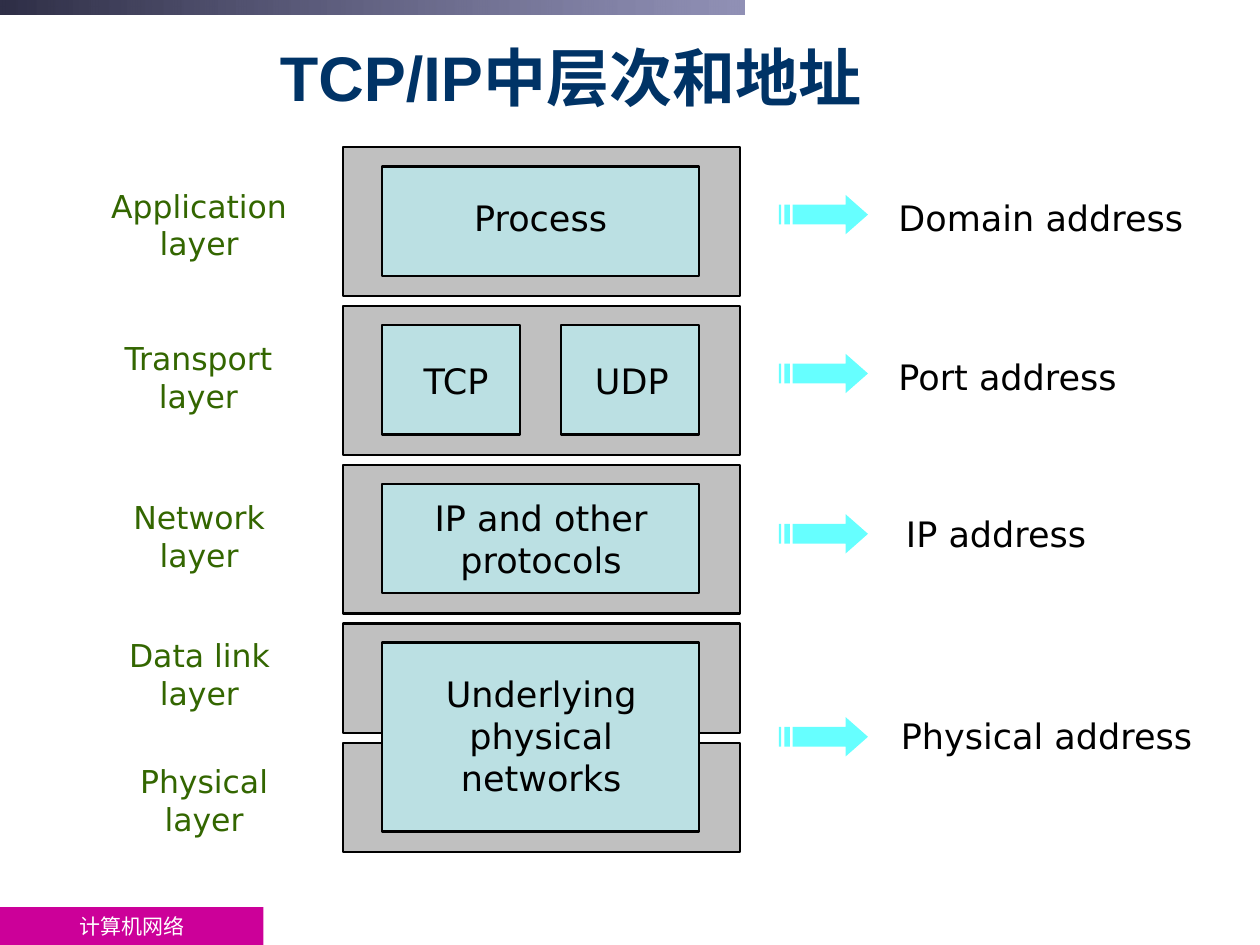
"""Build a slide that pairs the TCP/IP layers with their addresses."""
from dataclasses import dataclass

from lxml.etree import SubElement
from pptx import Presentation
from pptx.dml.color import RGBColor
from pptx.enum.shapes import MSO_SHAPE
from pptx.enum.text import MSO_ANCHOR, PP_ALIGN
from pptx.oxml.ns import qn
from pptx.util import Pt


@dataclass(frozen=True)
class Theme:
    navy: str = "003366"
    green: str = "336600"
    black: str = "000000"
    white: str = "FFFFFF"
    gray: str = "C0C0C0"
    pale: str = "BBE0E3"
    cyan: str = "66FFFF"
    pink: str = "CC0099"
    dusk: str = "2F2F47"
    haze: str = "666699"
    head: int = 36
    body: int = 20
    side: int = 18
    foot: int = 12
    sans: str = "DejaVu Sans"
    bold: str = "Arial"
    serif: str = "Times New Roman"


theme = Theme()
rgb = RGBColor.from_string


def add_box(left, top, width, height, fill, edge=None):
    box = slide.shapes.add_shape(
        MSO_SHAPE.RECTANGLE, Pt(left), Pt(top), Pt(width), Pt(height))
    box.shadow.inherit = False
    box.fill.solid()
    box.fill.fore_color.rgb = rgb(fill)
    if edge:
        box.line.color.rgb = rgb(edge)
        box.line.width = Pt(1.25)
    else:
        box.line.fill.background()
    return box


def add_run(frame, text, size, font, color, align=PP_ALIGN.CENTER):
    frame.word_wrap = True
    line = frame.paragraphs[0]
    line.alignment = align
    run = line.add_run()
    run.text = text
    run.font.size = Pt(size)
    run.font.name = font
    run.font.color.rgb = rgb(color)
    return run


deck = Presentation()
deck.slide_width, deck.slide_height = Pt(720), Pt(540)
slide = deck.slides.add_slide(deck.slide_layouts[5])

footer = add_box(0, 518.4, 150.5, 21.6, theme.pink)
add_run(footer.text_frame, "计算机网络", theme.foot, theme.serif, theme.white)

band = add_box(0, 0, 425.5, 8.6, theme.dusk)
band.fill.gradient()
band.fill.gradient_angle = 0
for stop, color in zip(band.fill.gradient_stops, (theme.dusk, theme.haze)):
    stop.color.rgb = rgb(color)
last = band.element.xpath(".//a:gradFill//a:srgbClr")[-1]
SubElement(last, qn("a:alpha")).set("val", "72000")

title = slide.shapes.title
title.left, title.top, title.width, title.height = Pt(122), Pt(15), Pt(408), Pt(57)
title.text_frame.vertical_anchor = MSO_ANCHOR.MIDDLE
run = add_run(title.text_frame, "TCP/IP中层次和地址", theme.head, theme.bold, theme.navy)
run.font.bold = True

tall, short, gap = 85, 62.5, 5.7
top = 84.2
tops = []
for height in (tall, tall, tall, short, short):
    add_box(196, top, 226.8, height, theme.gray, theme.black)
    tops.append(top)
    top += height + gap

panels = [
    (0, 218.2, 181.4, short),
    (1, 218.2, 79.2, short),
    (1, 320.4, 79.2, short),
    (2, 218.2, 181.4, short),
    (3, 218.2, 181.4, 108),
]
for row, left, width, height in panels:
    add_box(left, tops[row] + 10.9, width, height, theme.pale, theme.black)

center, start = PP_ALIGN.CENTER, PP_ALIGN.LEFT
texts = [
    ("Process", 257.8, 112.3, 102.2, 24, theme.body, theme.black, center),
    ("TCP", 226.8, 205.2, 67.7, 24, theme.body, theme.black, center),
    ("UDP", 329.8, 205.2, 62.6, 24, theme.body, theme.black, center),
    ("IP and other protocols", 241.2, 283.7, 136, 48, theme.body, theme.black, center),
    ("Underlying physical networks", 247, 384.5, 124.6, 72, theme.body, theme.black, center),
    ("Application layer", 59.8, 106.6, 108, 43, theme.side, theme.green, center),
    ("Transport layer", 54, 193.7, 118.8, 43, theme.side, theme.green, center),
    ("Network layer", 65.5, 284.4, 96.5, 43, theme.side, theme.green, center),
    ("Data link layer", 50, 363.6, 128, 43, theme.side, theme.green, center),
    ("Physical layer", 71.3, 435.6, 90.7, 43, theme.side, theme.green, center),
    ("Domain address", 513.4, 112.3, 175.7, 24, theme.body, theme.black, start),
    ("Port address", 513.4, 203, 130.3, 24, theme.body, theme.black, start),
    ("IP address", 517.7, 293, 108.7, 24, theme.body, theme.black, start),
    ("Physical address", 514.8, 408.2, 168.5, 24, theme.body, theme.black, start),
]
for text, left, top, width, height, size, color, align in texts:
    frame = slide.shapes.add_textbox(Pt(left), Pt(top), Pt(width), Pt(height)).text_frame
    frame.margin_left = frame.margin_top = frame.margin_right = frame.margin_bottom = 0
    add_run(frame, text, size, theme.sans, color, align)

high, low = 5.6, 16.9
arrow = [(38.2, 0), (38.2, high), (7.9, high), (7.9, low),
         (38.2, low), (38.2, 22.5), (51, 11.25)]
stripes = [[(near, high), (near, low), (far, low), (far, high)]
           for near, far in ((3.2, 6.4), (0, 1.4))]
for top in (111.4, 202.2, 293.8, 409.8):
    pen = slide.shapes.build_freeform(Pt(arrow[0][0]), Pt(arrow[0][1]))
    pen.add_line_segments([(Pt(x), Pt(y)) for x, y in arrow[1:]])
    for stripe in stripes:
        pen.move_to(Pt(stripe[0][0]), Pt(stripe[0][1]))
        pen.add_line_segments([(Pt(x), Pt(y)) for x, y in stripe[1:]])
    shape = pen.convert_to_shape(Pt(445), Pt(top))
    shape.shadow.inherit = False
    shape.fill.solid()
    shape.fill.fore_color.rgb = rgb(theme.cyan)
    shape.line.fill.background()

deck.save("out.pptx")
